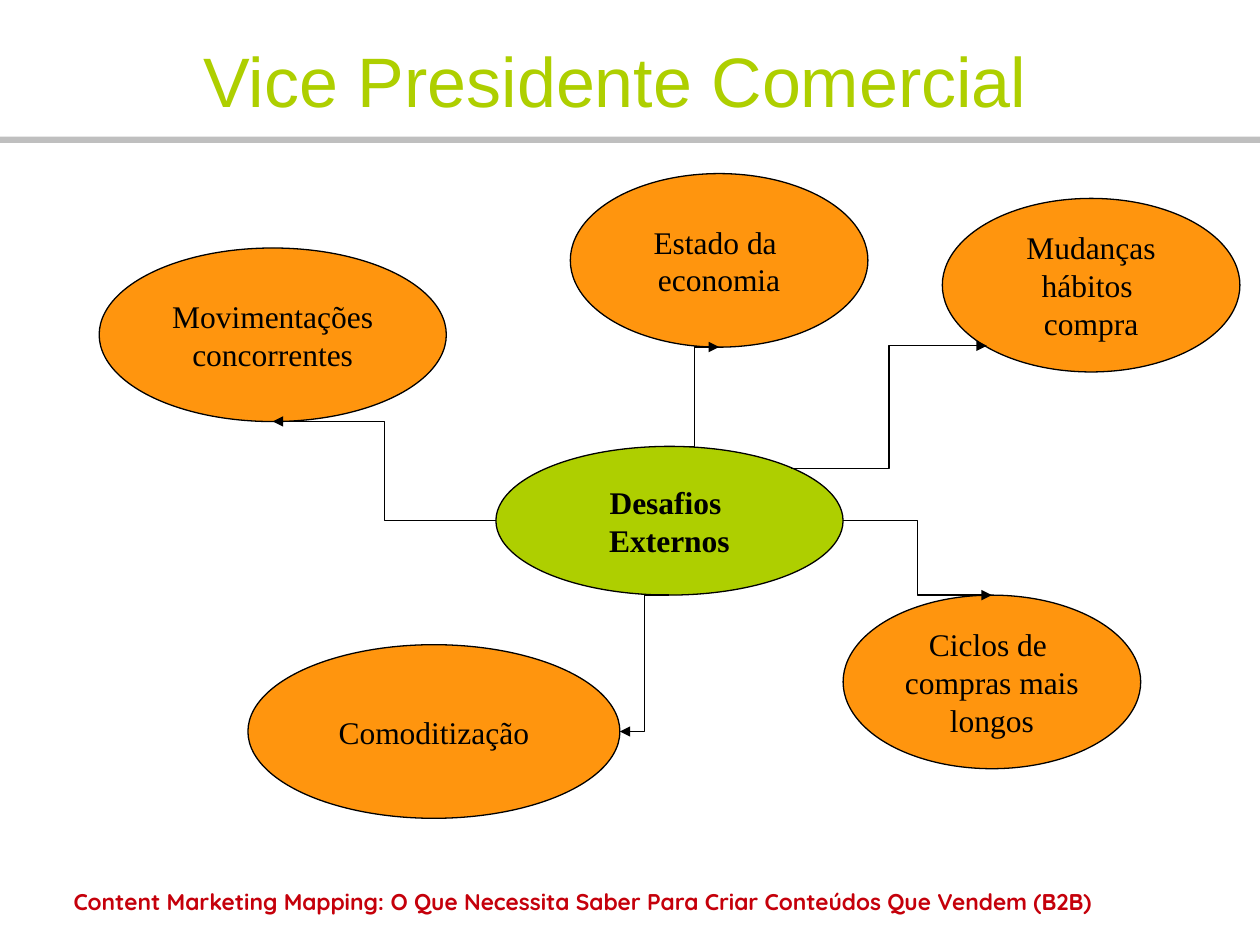
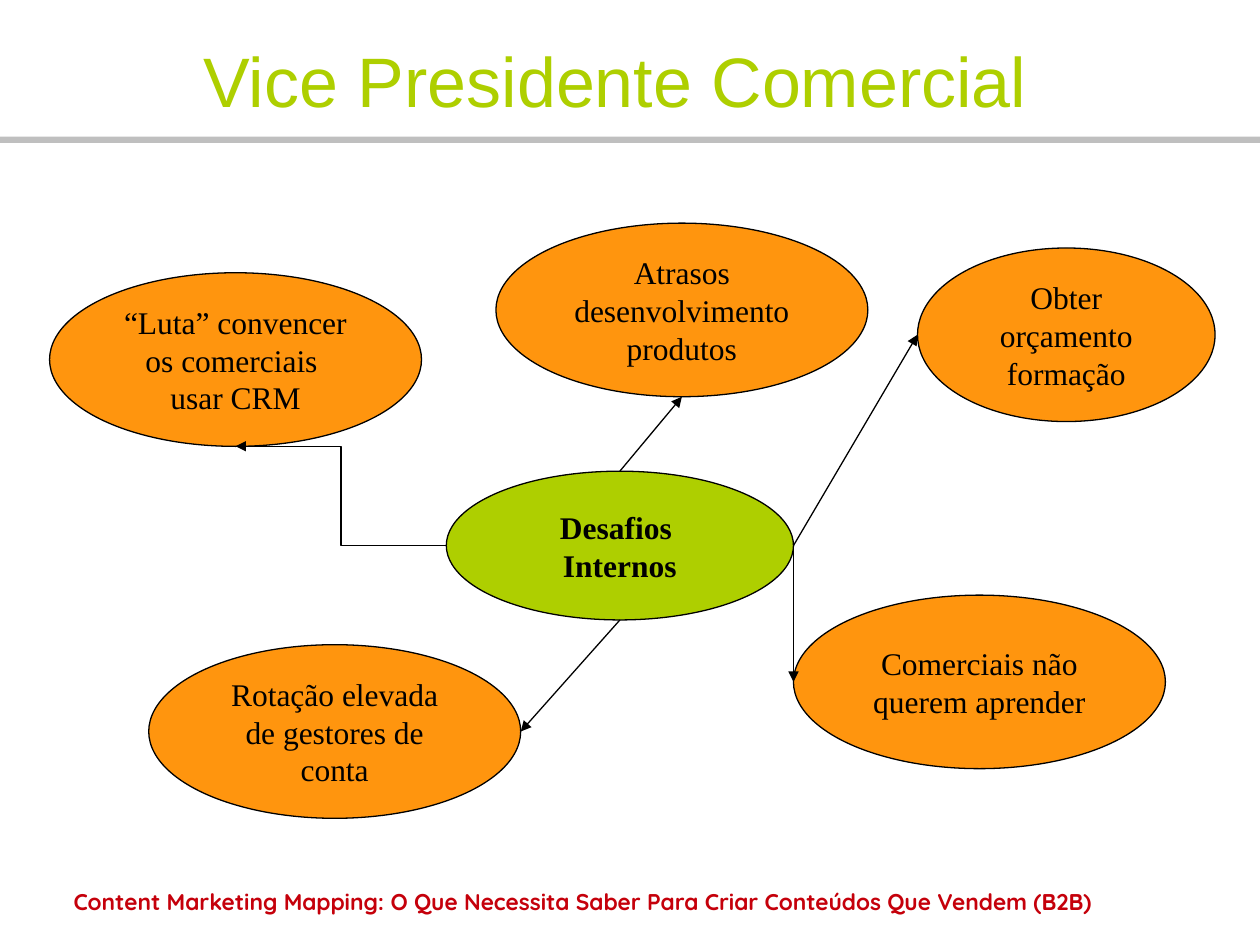
from pptx import Presentation
from pptx.dml.color import RGBColor
from pptx.enum.shapes import MSO_CONNECTOR, MSO_SHAPE
from pptx.enum.text import MSO_ANCHOR, MSO_AUTO_SIZE, PP_ALIGN
from pptx.oxml.ns import qn
from pptx.util import Pt
from lxml.etree import SubElement

HEAD = "Vice Presidente Comercial"
FOOT = "Content Marketing Mapping: O Que Necessita Saber Para Criar Conteúdos Que Vendem (B2B)"

MAPS = [
    {
        "hub": ("Desafios \nExternos", 20, 18),
        "nodes": [
            ("Movimentações\nconcorrentes", 4, 10, 14, "elbow", "left", "bottom"),
            ("Comoditização", 10, 26, 15, "elbow", "bottom", "right"),
            ("Estado da \neconomia", 23, 7, 12, "elbow", "top", "bottom"),
            ("Mudanças\nhábitos \ncompra", 38, 8, 12, "elbow", "upright", "lowleft"),
            ("Ciclos de \ncompras mais\nlongos", 34, 24, 12, "elbow", "right", "top"),
        ],
    },
    {
        "hub": ("Desafios \nInternos", 18, 19),
        "nodes": [
            ("“Luta” convencer\nos comerciais \nusar CRM", 2, 11, 15, "elbow", "left", "bottom"),
            ("Rotação elevada\nde gestores de conta", 6, 26, 15, "line", "bottom", "left_end"),
            ("Atrasos\ndesenvolvimento\nprodutos", 20, 9, 15, "line", "top", "bottom"),
            ("Obter orçamento\nformação", 37, 10, 12, "line", "right", "left"),
            ("Comerciais não\nquerem aprender", 32, 24, 15, "line", "right", "left"),
        ],
    },
]

THEME = {
    "lime": RGBColor.from_string("AECF00"),
    "orange": RGBColor.from_string("FF950E"),
    "black": RGBColor.from_string("000000"),
    "gray": RGBColor.from_string("BFBFBF"),
    "red": RGBColor.from_string("C5000B"),
    "head": ("Arial", 40),
    "node": ("Times New Roman", 18),
    "foot": ("Quicksand", 13),
    "line": Pt(0.75),
}

GRID = 14.17
HUB_W, HUB_H, NODE_H = 14, 6, 7
NEAR, FAR = 0.15, 0.85
SPOTS = {
    "top": (0.5, 0), "left": (0, 0.5), "bottom": (0.5, 1), "right": (1, 0.5),
    "left_end": (1, 0.5), "upright": (FAR, NEAR), "lowleft": (NEAR, FAR),
}
LINKS = {"elbow": MSO_CONNECTOR.ELBOW, "line": MSO_CONNECTOR.STRAIGHT}


def apply(item, **vals):
    for key, val in vals.items():
        setattr(item, key, val)


def place(item, left, top, width, height):
    apply(item, left=Pt(left), top=Pt(top), width=Pt(width), height=Pt(height))


def write(shape, text, style, tint, bold=False, align=PP_ALIGN.CENTER, **frame):
    box = shape.text_frame
    box.text = text
    apply(box, word_wrap=True, auto_size=MSO_AUTO_SIZE.NONE, **frame)
    name, size = THEME[style]
    for para in box.paragraphs:
        para.alignment = align
        for run in para.runs:
            apply(run.font, name=name, size=Pt(size), bold=bold)
            run.font.color.rgb = THEME[tint]


def paint(shape, tint):
    shape.shadow.inherit = False
    shape.fill.solid()
    shape.fill.fore_color.rgb = THEME[tint]


def frame(slide):
    bar = slide.shapes.add_shape(MSO_SHAPE.RECTANGLE, 0, Pt(78), Pt(720), Pt(3.6))
    paint(bar, "gray")
    bar.line.fill.background()
    foot = slide.shapes.add_textbox(Pt(18), Pt(504), Pt(674), Pt(36))
    write(foot, FOOT, "foot", "red", True, PP_ALIGN.LEFT, margin_left=Pt(24))
    title = slide.shapes.title
    place(title, 99.4, 14.4, 504, 57.6)
    write(title, HEAD, "head", "lime", vertical_anchor=MSO_ANCHOR.MIDDLE,
          margin_left=0, margin_right=0, margin_top=Pt(4), margin_bottom=0)


def oval(slide, text, col, row, wide, high, tint, bold=False):
    area = [Pt(GRID * val) for val in (col, row, wide, high)]
    shape = slide.shapes.add_shape(MSO_SHAPE.OVAL, *area)
    paint(shape, tint)
    shape.line.color.rgb = THEME["black"]
    shape.line.width = THEME["line"]
    write(shape, text, "node", "black", bold, vertical_anchor=MSO_ANCHOR.MIDDLE)
    return shape


def spot(shape, name):
    across, down = SPOTS[name]
    return (int(shape.left + shape.width * across),
            int(shape.top + shape.height * down))


def link(slide, kind, start, end):
    line = slide.shapes.add_connector(LINKS[kind], *start, *end)
    line.line.color.rgb = THEME["black"]
    line.line.width = THEME["line"]
    SubElement(line.line._get_or_add_ln(), qn("a:tailEnd"), type="triangle")
    SubElement(line._element.spPr, qn("a:effectLst"))


def draw(deck, hub, nodes):
    slide = deck.slides.add_slide(deck.slide_layouts[5])
    frame(slide)
    core = oval(slide, *hub, HUB_W, HUB_H, "lime", True)
    for text, col, row, wide, kind, start, end in nodes:
        node = oval(slide, text, col, row, wide, NODE_H, "orange")
        link(slide, kind, spot(core, start), spot(node, end))


def main():
    deck = Presentation()
    apply(deck, slide_width=Pt(720), slide_height=Pt(540))
    for item in MAPS:
        draw(deck, **item)
    deck.save("out.pptx")


if __name__ == "__main__":
    main()
